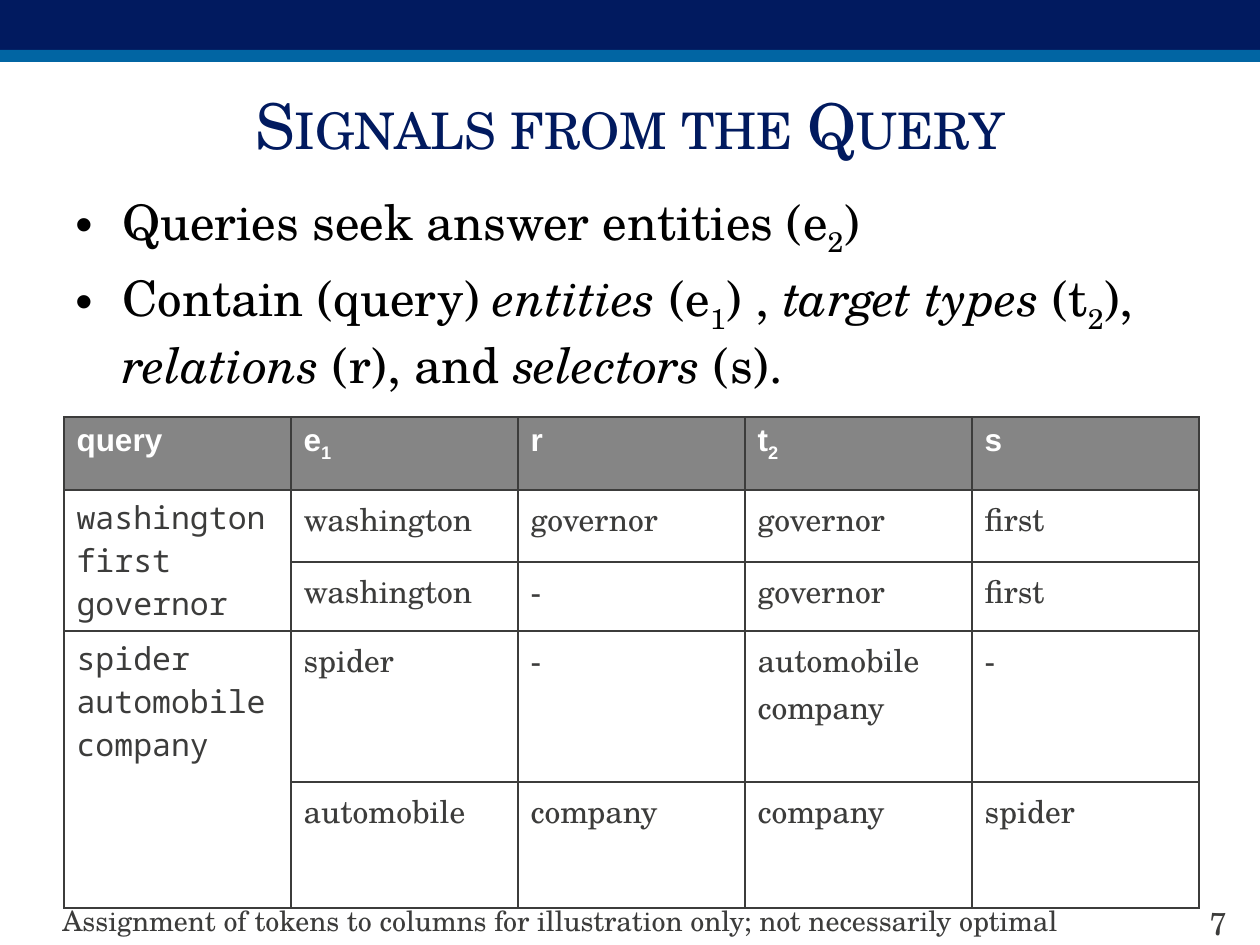
from dataclasses import dataclass
from typing import NamedTuple

from lxml import etree
from pptx import Presentation
from pptx.dml.color import RGBColor
from pptx.enum.shapes import MSO_SHAPE
from pptx.enum.text import MSO_ANCHOR, PP_ALIGN
from pptx.oxml.ns import qn
from pptx.util import Emu, Pt

RECTANGLE = MSO_SHAPE.RECTANGLE
MIDDLE, TOP = MSO_ANCHOR.MIDDLE, MSO_ANCHOR.TOP
CENTER, LEFT = PP_ALIGN.CENTER, PP_ALIGN.LEFT
PX_PER_INCH = 126


@dataclass(frozen=True)
class Theme:
    navy: str = "011A5F"
    blue: str = "0165A3"
    ink: str = "3C3C3B"
    black: str = "000000"
    white: str = "FFFFFF"
    header_gray: str = "858585"
    serif: str = "TeX Gyre Schola"
    sans: str = "Arial"
    mono: str = "Noto Sans Mono"
    title_size: int = 36
    body_size: int = 28
    table_size: int = 18
    number_size: int = 18
    note_size: int = 16
    border_width: int = 1


THEME = Theme()


class Box(NamedTuple):
    left: int
    top: int
    width: int
    height: int


class Style(NamedTuple):
    font: str
    size: int
    color: str
    bold: bool = False
    small_caps: bool = False


class Span(NamedTuple):
    text: str
    italic: bool = False
    subscript: bool = False


class Bar(NamedTuple):
    box: Box
    color: str


class Label(NamedTuple):
    box: Box
    text: str
    style: Style
    align: PP_ALIGN = LEFT
    anchor: MSO_ANCHOR = TOP


def italic(text: str) -> Span:
    return Span(text, italic=True)


def sub(text: str) -> Span:
    return Span(text, subscript=True)


TITLE = Style(THEME.serif, THEME.title_size, THEME.navy, small_caps=True)
BODY = Style(THEME.serif, THEME.body_size, THEME.black)
HEADER = Style(THEME.sans, THEME.table_size, THEME.white, bold=True)
QUERY = Style(THEME.mono, THEME.table_size, THEME.ink)
TOKEN = Style(THEME.serif, THEME.table_size, THEME.ink)
NUMBER = Style(THEME.serif, THEME.number_size, THEME.ink)
NOTE = Style(THEME.serif, THEME.note_size, THEME.ink)

BARS = [
    Bar(Box(0, 0, 1261, 50), THEME.navy),
    Bar(Box(-1, 50, 1261, 12), THEME.blue),
]
LABELS = [
    Label(Box(1197, 898, 64, 89), "7", NUMBER),
    Label(Box(63, 64, 1134, 121), "Signals from the Query", TITLE, CENTER, MIDDLE),
    Label(Box(50, 897, 1147, 47),
          "Assignment of tokens to columns for illustration only; not necessarily optimal", NOTE),
]

BULLET_BOX = Box(63, 185, 1134, 659)
BULLET_INDENT = 47
BULLETS = [
    [Span("Queries seek answer entities (e"), sub("2"), Span(")")],
    [Span("Contain (query) "), italic("entities"), Span(" (e"), sub("1"), Span(") , "),
     italic("target types "), Span("(t"), sub("2"), Span("), "), italic("relations"),
     Span(" (r), and "), italic("selectors"), Span(" (s).")],
]

TABLE_LEFT, TABLE_TOP, COLUMN_WIDTH = 64, 417, 227
ROW_HEIGHTS = [73, 72, 69, 151, 126]
HEADERS = [[Span("query")], [Span("e"), sub("1")], [Span("r")], [Span("t"), sub("2")], [Span("s")]]
QUERIES = {1: "washington\nfirst governor", 3: "spider automobile company"}
TOKENS = [
    ["washington", "governor", "governor", "first"],
    ["washington", "-", "governor", "first"],
    ["spider", "-", "automobile company", "-"],
    ["automobile", "company", "company", "spider"],
]


def px(length: int) -> Emu:
    return Emu(round(length * 914400 / PX_PER_INCH))


def rgb(color: str) -> RGBColor:
    return RGBColor.from_string(color)


def add_spans(para, spans: list[Span], style: Style) -> None:
    """Add each span as runs; a newline inside a span becomes a line break."""
    for span in spans:
        for index, line in enumerate(span.text.split("\n")):
            if index:
                para.add_line_break()
            run = para.add_run()
            run.text = line
            run.font.name, run.font.size = style.font, Pt(style.size)
            run.font.color.rgb = rgb(style.color)
            run.font.bold, run.font.italic = style.bold, span.italic
            properties = run._r.get_or_add_rPr()
            if span.subscript:
                properties.set("baseline", "-25000")
            if style.small_caps:
                properties.set("cap", "small")


def add_bar(page, bar: Bar) -> None:
    shape = page.shapes.add_shape(RECTANGLE, *map(px, bar.box))
    shape.shadow.inherit = False
    shape.fill.solid()
    shape.fill.fore_color.rgb = rgb(bar.color)
    shape.line.fill.background()


def add_frame(page, box: Box):
    frame = page.shapes.add_textbox(*map(px, box)).text_frame
    frame.word_wrap = True
    return frame


def add_label(page, label: Label) -> None:
    frame = add_frame(page, label.box)
    frame.vertical_anchor = label.anchor
    para = frame.paragraphs[0]
    para.alignment = label.align
    add_spans(para, [Span(label.text)], label.style)


def add_bullets(page) -> None:
    frame = add_frame(page, BULLET_BOX)
    for index, spans in enumerate(BULLETS):
        para = frame.add_paragraph() if index else frame.paragraphs[0]
        properties = para._p.get_or_add_pPr()
        properties.set("marL", str(px(BULLET_INDENT)))
        properties.set("indent", str(-px(BULLET_INDENT)))
        etree.SubElement(properties, qn("a:buFont"), typeface=THEME.sans)
        etree.SubElement(properties, qn("a:buChar"), char="•")
        if index:
            para.space_before = Pt(THEME.body_size * 0.2)
        add_spans(para, spans, BODY)


def style_cell(cell, fill: str) -> None:
    """Outline the cell on all sides, then fill it."""
    properties = cell._tc.get_or_add_tcPr()
    for side in ("a:lnL", "a:lnR", "a:lnT", "a:lnB"):
        line = etree.SubElement(properties, qn(side), w=str(Pt(THEME.border_width)))
        solid = etree.SubElement(line, qn("a:solidFill"))
        etree.SubElement(solid, qn("a:srgbClr"), val=THEME.ink)
    cell.fill.solid()
    cell.fill.fore_color.rgb = rgb(fill)


def add_query_table(page) -> None:
    box = Box(TABLE_LEFT, TABLE_TOP, COLUMN_WIDTH * len(HEADERS), sum(ROW_HEIGHTS))
    table = page.shapes.add_table(len(ROW_HEIGHTS), len(HEADERS), *map(px, box)).table
    table.first_row = table.horz_banding = False
    for column in table.columns:
        column.width = px(COLUMN_WIDTH)
    for index, height in enumerate(ROW_HEIGHTS):
        table.rows[index].height = px(height)
        for cell in table.rows[index].cells:
            style_cell(cell, THEME.white if index else THEME.header_gray)
    for column, spans in enumerate(HEADERS):
        add_spans(table.cell(0, column).text_frame.paragraphs[0], spans, HEADER)
    for row, query in QUERIES.items():
        table.cell(row, 0).merge(table.cell(row + 1, 0))
        add_spans(table.cell(row, 0).text_frame.paragraphs[0], [Span(query)], QUERY)
    for row, tokens in enumerate(TOKENS, start=1):
        for column, token in enumerate(tokens, start=1):
            add_spans(table.cell(row, column).text_frame.paragraphs[0], [Span(token)], TOKEN)


def main() -> None:
    deck = Presentation()
    deck.slide_width, deck.slide_height = px(1260), px(945)
    page = deck.slides.add_slide(deck.slide_layouts[6])
    for bar in BARS:
        add_bar(page, bar)
    add_bullets(page)
    add_query_table(page)
    for label in LABELS:
        add_label(page, label)
    deck.save("out.pptx")


if __name__ == "__main__":
    main()
